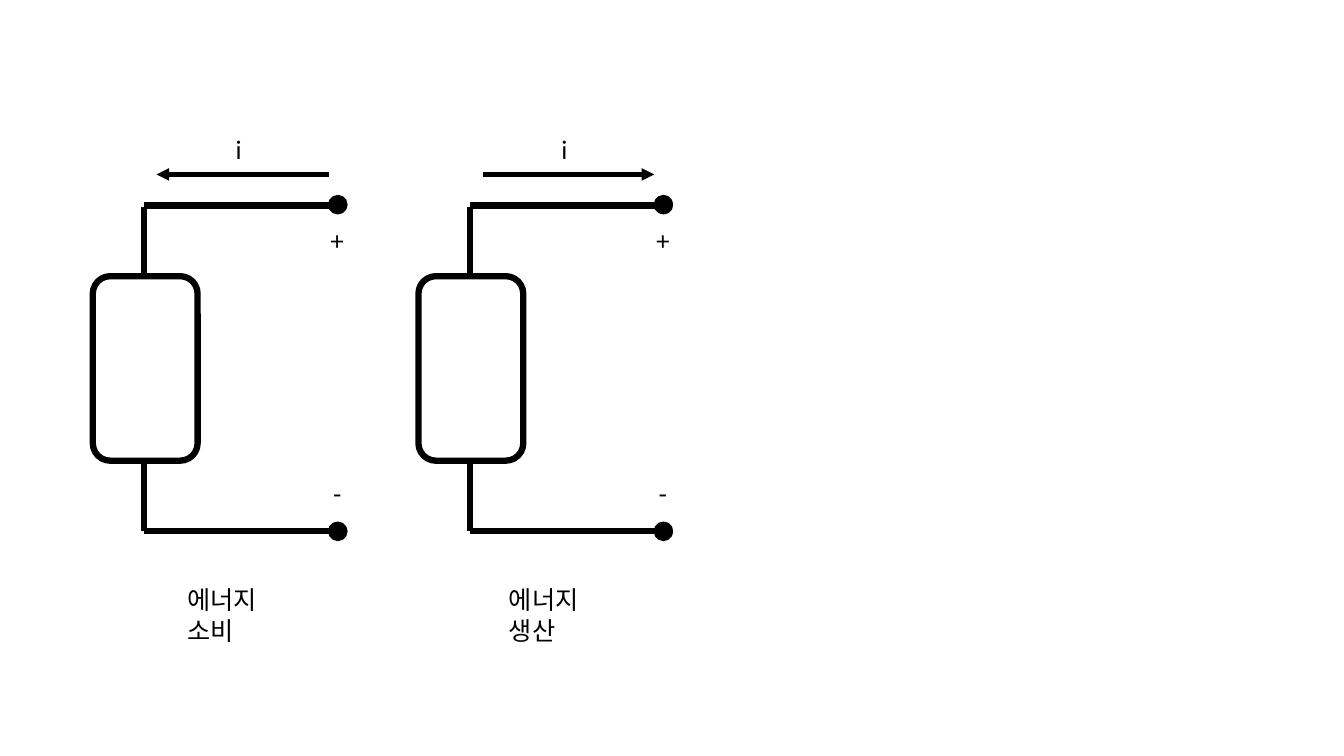
from dataclasses import dataclass

import lxml.etree
import pptx
import pptx.dml.color
import pptx.enum.shapes
import pptx.enum.text
import pptx.oxml.ns
import pptx.util

Pt = pptx.util.Pt
SHAPES = pptx.enum.shapes.MSO_SHAPE
ALIGN = pptx.enum.text.PP_ALIGN
qn = pptx.oxml.ns.qn


@dataclass(frozen=True)
class Theme:
    ink: pptx.dml.color.RGBColor = pptx.dml.color.RGBColor(0, 0, 0)
    paper: pptx.dml.color.RGBColor = pptx.dml.color.RGBColor(255, 255, 255)
    latin: str = "Lato"
    korean: str = "Noto Sans CJK KR"
    text_size: float = 18
    wire: float = 4.5
    arrow: float = 3
    outline: float = 1


@dataclass(frozen=True)
class Circuit:
    wire_x: float
    arrow_start: float
    arrow_end: float
    caption: str
    caption_x: float


THEME = Theme()
CIRCUITS = (
    Circuit(103, 131.8, 8.8, "에너지 소비", 126.7),
    Circuit(335.6, 9.2, 131.8, "에너지 생산", 356.4),
)
TOP_Y, BOTTOM_Y = 146.9, 379.4
WIRE_LENGTH = 136.8
ARROW_Y = 124.6
TERMINAL_X, TERMINAL_SIZE = 131.8, 13
TERMINAL_TOPS = (139.7, 373)
SIGN_X, SIGN_WIDTH = 111.6, 52.6
SIGNS = (("+", 157.7), ("-", 338.4))
TEXT_HEIGHT = 29.1


def add_line(slide: pptx.slide.Slide, x1: float, y1: float, x2: float, y2: float,
             weight: float, arrow: bool = False) -> None:
    connector = slide.shapes.add_connector(
        pptx.enum.shapes.MSO_CONNECTOR.STRAIGHT, Pt(x1), Pt(y1), Pt(x2), Pt(y2))
    connector.line.color.rgb = THEME.ink
    connector.line.width = Pt(weight)
    properties = connector._element.spPr
    if arrow:
        lxml.etree.SubElement(properties.find(qn("a:ln")), qn("a:tailEnd"), type="triangle")
    lxml.etree.SubElement(properties, qn("a:effectLst"))


def add_outline(slide: pptx.slide.Slide, kind: SHAPES, x: float, y: float,
                width: float, height: float, fill: pptx.dml.color.RGBColor,
                weight: float) -> None:
    shape = slide.shapes.add_shape(kind, Pt(x), Pt(y), Pt(width), Pt(height))
    shape.shadow.inherit = False
    shape.fill.solid()
    shape.fill.fore_color.rgb = fill
    shape.line.color.rgb = THEME.ink
    shape.line.width = Pt(weight)


def add_text(slide: pptx.slide.Slide, text: str, x: float, y: float, width: float,
             align: ALIGN = ALIGN.LEFT, font_name: str = THEME.latin,
             right_margin: float = 7.2) -> None:
    frame = slide.shapes.add_textbox(Pt(x), Pt(y), Pt(width), Pt(TEXT_HEIGHT)).text_frame
    frame.word_wrap = True
    frame.auto_size = pptx.enum.text.MSO_AUTO_SIZE.SHAPE_TO_FIT_TEXT
    frame.margin_right = Pt(right_margin)
    frame.text = text
    paragraph = frame.paragraphs[0]
    paragraph.alignment = align
    font = paragraph.runs[0].font
    font.size = Pt(THEME.text_size)
    font.color.rgb = THEME.ink
    font.name = font_name
    lxml.etree.SubElement(font._element, qn("a:ea"), typeface=font_name)


def draw_circuit(slide: pptx.slide.Slide, circuit: Circuit) -> None:
    x = circuit.wire_x
    add_line(slide, x, TOP_Y + 0.7, x, BOTTOM_Y, THEME.wire)
    add_line(slide, x, BOTTOM_Y, x + WIRE_LENGTH, BOTTOM_Y, THEME.wire)
    add_outline(slide, SHAPES.ROUNDED_RECTANGLE, x - 36.7, 197.3, 74.9, 131.8,
                THEME.paper, THEME.wire)
    for sign, y in SIGNS:
        add_text(slide, sign, x + SIGN_X, y, SIGN_WIDTH, ALIGN.CENTER)
    add_line(slide, x, TOP_Y, x + WIRE_LENGTH, TOP_Y, THEME.wire)
    for y in TERMINAL_TOPS:
        add_outline(slide, SHAPES.OVAL, x + TERMINAL_X, y, TERMINAL_SIZE, TERMINAL_SIZE,
                    THEME.ink, THEME.outline)
    add_line(slide, x + circuit.arrow_start, ARROW_Y, x + circuit.arrow_end, ARROW_Y,
             THEME.arrow, arrow=True)
    add_text(slide, "i", x + 58.3, 92.2, 23.8)
    add_text(slide, circuit.caption, circuit.caption_x, 414, 92.9,
             font_name=THEME.korean, right_margin=25)


def main() -> None:
    presentation = pptx.Presentation()
    presentation.slide_width = Pt(960)
    presentation.slide_height = Pt(540)
    slide = presentation.slides.add_slide(presentation.slide_layouts[6])
    for circuit in CIRCUITS:
        draw_circuit(slide, circuit)
    presentation.save("out.pptx")


if __name__ == "__main__":
    main()
